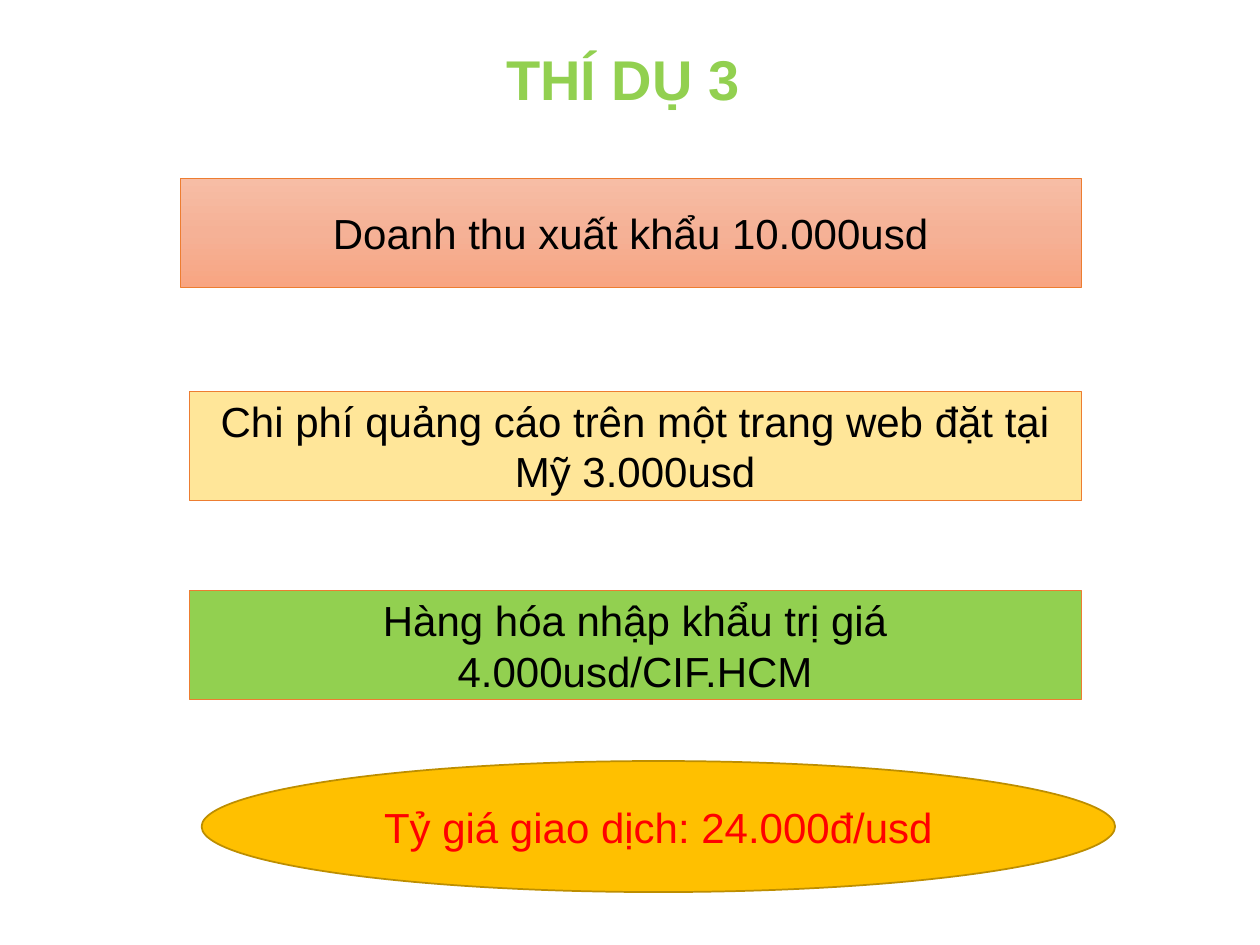
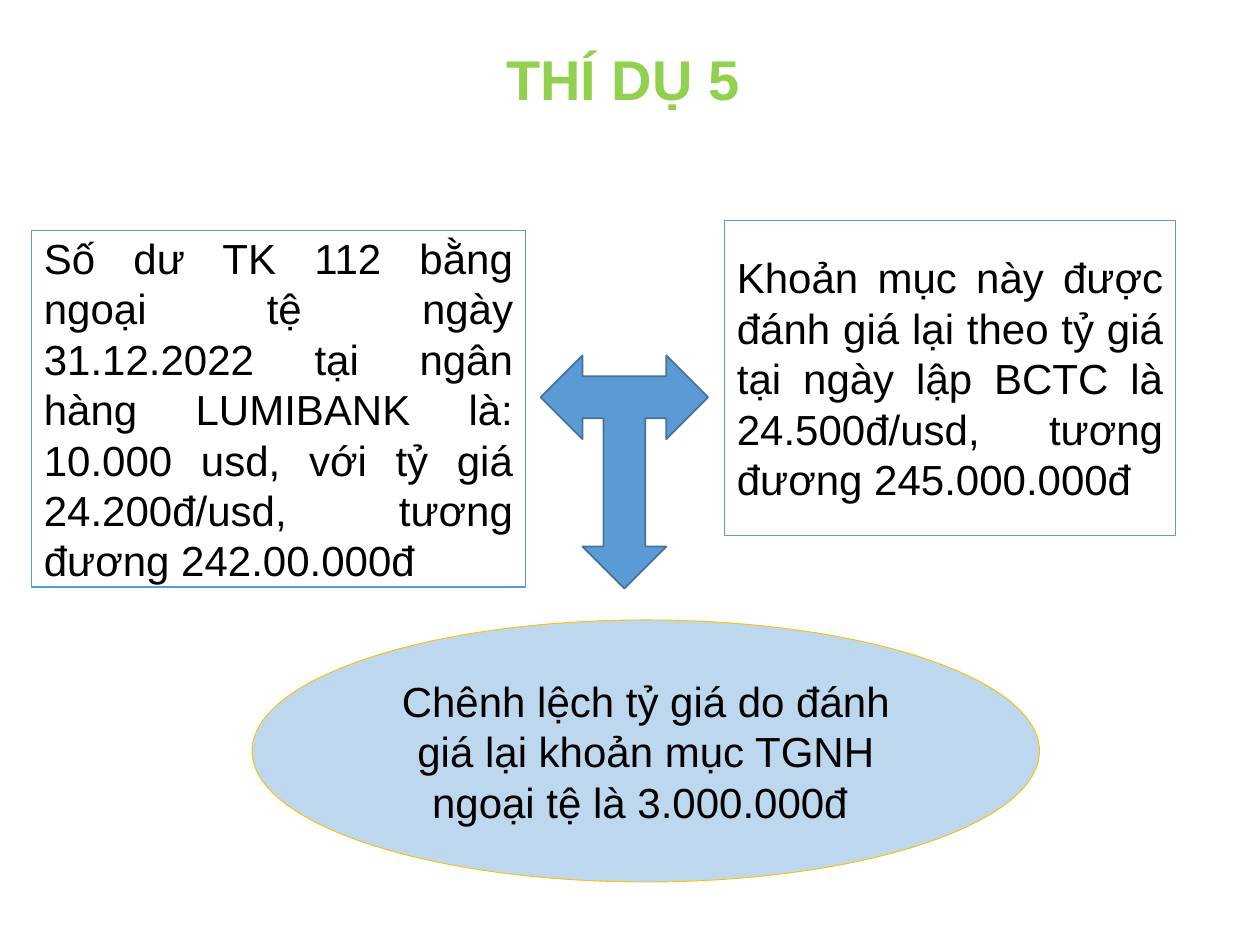
import copy

from pptx import Presentation
from pptx import util as u
from pptx.dml.color import RGBColor
from pptx.enum import shapes, text
from pptx.oxml.ns import qn

COLORS = {
    "title": "92D050", "black": "000000", "red": "FF0000", "white": "FFFFFF",
    "orange": "ED7D31", "cream": "FFE699", "green": "92D050",
    "gold": "FFC000", "dark_gold": "BD8E00",
    "blue": "5B9BD5", "dark_blue": "43739E", "pale_blue": "BDD7EE",
    "salmon_top": "F7BDA5", "salmon_mid": "F5B196", "salmon_end": "F8A582",
}
FONT = "Arial"
RECT = shapes.MSO_SHAPE.RECTANGLE
OVAL = shapes.MSO_SHAPE.OVAL
CENTER = text.PP_ALIGN.CENTER
JUSTIFY = text.PP_ALIGN.JUSTIFY

# Slide 1: transactions (text, left, top, width, fill)
TRANSACTIONS = [
    ("Doanh thu xuất khẩu 10.000usd", 1.43, 1.42, 7.15,
     ("salmon_top", "salmon_mid", "salmon_end")),
    ("Chi phí quảng cáo trên một trang web đặt tại Mỹ 3.000usd",
     1.5, 3.11, 7.08, "cream"),
    ("Hàng hóa nhập khẩu trị giá 4.000usd/CIF.HCM", 1.5, 4.69, 7.08, "green"),
]
TRANSACTION_HEIGHT = 0.86
EXCHANGE_RATE = "Tỷ giá giao dịch: 24.000đ/usd"

# Slide 2: balances (text, box) and the resulting difference
BALANCES = [
    ("Số dư TK 112 bằng ngoại tệ ngày 31.12.2022 tại ngân hàng LUMIBANK là: "
     "10.000 usd, với tỷ giá 24.200đ/usd, tương đương 242.00.000đ",
     (0.25, 1.83, 3.92, 2.83)),
    ("Khoản mục này được đánh giá lại theo tỷ giá tại ngày lập BCTC là "
     "24.500đ/usd, tương đương 245.000.000đ",
     (5.75, 1.75, 3.58, 2.5)),
]
DIFFERENCE = ("Chênh lệch tỷ giá do đánh giá lại khoản mục TGNH "
              "ngoại tệ là 3.000.000đ ")


def rgb(name):
    return RGBColor.from_string(COLORS[name])


def write(tf, content, size, color, align, bold=False):
    tf.vertical_anchor = text.MSO_ANCHOR.MIDDLE
    p = tf.paragraphs[0]
    p.alignment = align
    r = p.add_run()
    r.text = content
    r.font.name, r.font.size, r.font.bold = FONT, u.Pt(size), bold
    r.font.color.rgb = rgb(color)


def fill_gradient(sp, names):
    """Fill top to bottom with three evenly spaced colours."""
    sp.fill.gradient()
    sp.fill.gradient_angle = 270
    stop_list = sp._element.spPr.find(qn("a:gradFill")).find(qn("a:gsLst"))
    stop_list.insert(1, copy.deepcopy(stop_list[0]))
    for i, (stop, name) in enumerate(zip(sp.fill.gradient_stops, names)):
        stop.position = i / 2
        stop.color.rgb = rgb(name)


def add_block(slide, kind, box, fill, line, weight, content="",
              color="black", align=CENTER):
    sp = slide.shapes.add_shape(kind, *map(u.Inches, box))
    sp.shadow.inherit = False
    if isinstance(fill, tuple):
        fill_gradient(sp, fill)
    else:
        sp.fill.solid()
        sp.fill.fore_color.rgb = rgb(fill)
    sp.line.color.rgb = rgb(line)
    sp.line.width = u.Pt(weight)
    if content:
        sp.text_frame.word_wrap = True
        write(sp.text_frame, content, 24, color, align)
    return sp


def add_titled_slide(prs, heading):
    slide = prs.slides.add_slide(prs.slide_layouts[5])
    title = slide.shapes.title
    title.left, title.top, title.width, title.height = map(
        u.Inches, (3.91, 0.3, 2.07, 0.64))
    tf = title.text_frame
    tf.word_wrap = False
    tf.auto_size = text.MSO_AUTO_SIZE.NONE
    write(tf, heading, 32, "title", CENTER, bold=True)
    return slide


def main():
    prs = Presentation()
    prs.slide_width, prs.slide_height = u.Inches(10), u.Inches(7.5)

    # Transactions and their exchange rate
    slide = add_titled_slide(prs, "THÍ DỤ 3")
    for content, left, top, width, fill in TRANSACTIONS:
        add_block(slide, RECT, (left, top, width, TRANSACTION_HEIGHT),
                  fill, "orange", 0.5, content)
    add_block(slide, OVAL, (1.6, 6.04, 7.25, 1.04), "gold", "dark_gold", 1,
              EXCHANGE_RATE, "red")

    # Balances, three-way arrow and revaluation difference
    slide = add_titled_slide(prs, "THÍ DỤ 5")
    for content, box in BALANCES:
        add_block(slide, RECT, box, "white", "blue", 1, content, align=JUSTIFY)
    add_block(slide, OVAL, (2, 4.92, 6.25, 2.08), "pale_blue", "gold", 0.5,
              DIFFERENCE)
    arrow = add_block(slide, shapes.MSO_SHAPE.LEFT_RIGHT_UP_ARROW,
                      (4.29, 2.82, 1.33, 1.85), "blue", "dark_blue", 1)
    arrow.rotation = 180

    prs.save("out.pptx")


if __name__ == "__main__":
    main()
